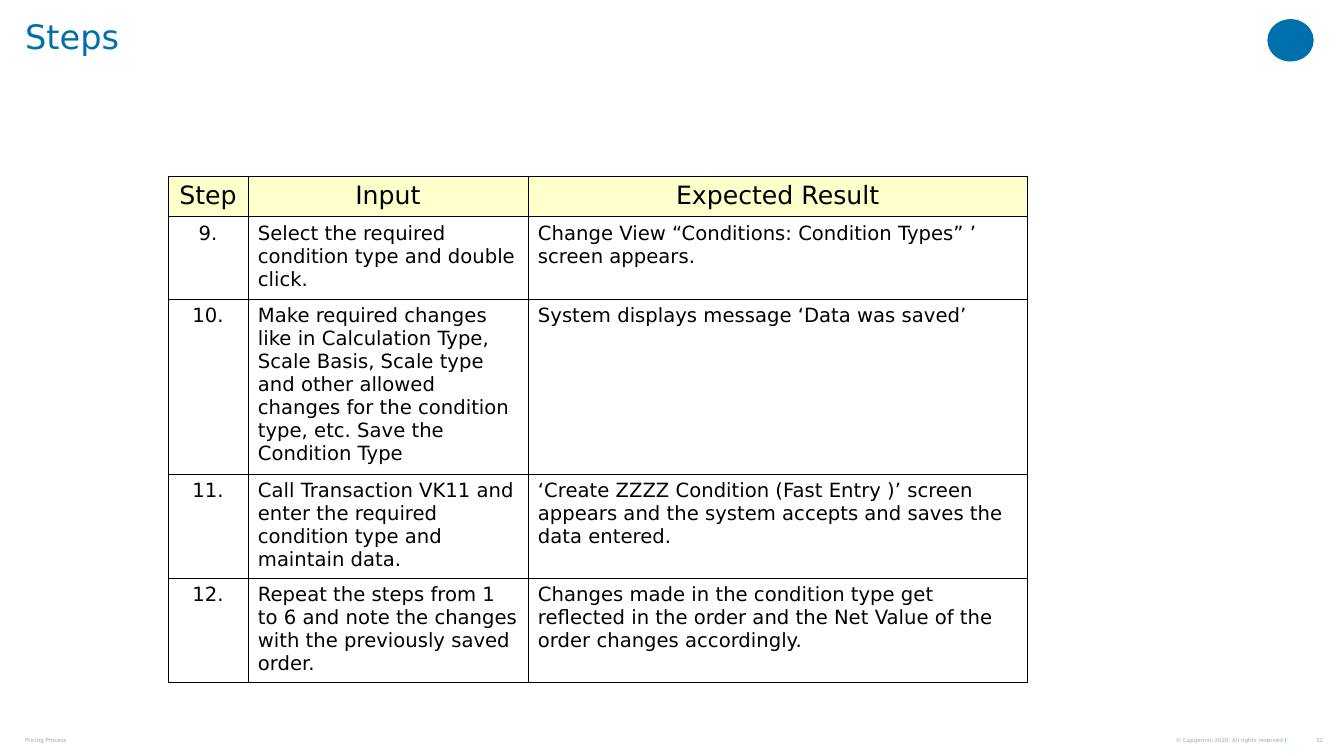
import dataclasses

import lxml.etree
import pptx
import pptx.dml.color
import pptx.enum.shapes
import pptx.enum.text
import pptx.oxml.ns
import pptx.util

Inches = pptx.util.Inches
Pt = pptx.util.Pt
ALIGN = pptx.enum.text.PP_ALIGN
ANCHOR = pptx.enum.text.MSO_ANCHOR


@dataclasses.dataclass(frozen=True)
class Theme:
    """Colours, fonts and type sizes of the slide."""
    blue: str = "0070AD"
    cyan: str = "12ABDB"
    grey: str = "A6A6A6"
    black: str = "000000"
    header: str = "FFFFCC"
    font: str = "DejaVu Sans"
    number_font: str = "Arial"
    title_size: float = 24
    header_size: float = 18
    body_size: float = 14
    footer_size: float = 4
    border: float = 0.45


THEME = Theme()
COLUMNS = [0.79, 2.78, 4.96]
ROWS = [0.4, 0.82, 1.73, 1.03, 1.03]
STEPS = [
    ("Step", "Input", "Expected Result"),
    ("9.", "Select the required condition type and double click.",
     "Change View “Conditions: Condition Types” ’ screen appears."),
    ("10.", "Make required changes like in Calculation Type, Scale Basis, Scale type and other "
     "allowed changes for the condition type, etc. Save the Condition Type",
     "System displays message ‘Data was saved’"),
    ("11.", "Call Transaction VK11 and enter the required condition type and maintain data.",
     "‘Create ZZZZ Condition (Fast Entry )’ screen appears and the system accepts and saves "
     "the data entered."),
    ("12.", "Repeat the steps from 1 to 6 and note the changes with the previously saved order.",
     "Changes made in the condition type get reflected in the order and the Net Value of the "
     "order changes accordingly."),
]


def rgb(color):
    """Return the colour object of a hex string."""
    return pptx.dml.color.RGBColor.from_string(color)


def set_attributes(obj, formats):
    """Set each attribute of an object from a dict."""
    for name, value in formats.items():
        setattr(obj, name, value)


def add_run(p, text, size, color, font=THEME.font):
    """Add one formatted run to a paragraph."""
    r = p.add_run()
    r.text = text
    set_attributes(r.font, {"size": Pt(size), "name": font})
    r.font.color.rgb = rgb(color)


def add_text(s, box, runs, size, frame=None, paragraph=None, font=THEME.font):
    """Add a text box holding one paragraph of coloured runs."""
    tf = s.shapes.add_textbox(*map(Inches, box)).text_frame
    set_attributes(tf, {"margin_left": 0, "margin_top": 0, "margin_right": 0, "margin_bottom": 0,
                        "word_wrap": True, "vertical_anchor": ANCHOR.MIDDLE, **(frame or {})})
    p = tf.paragraphs[0]
    set_attributes(p, paragraph or {})
    for text, color in runs:
        add_run(p, text, size, color, font)


def add_emblem(s, box):
    """Add the plain oval in the top right corner."""
    sp = s.shapes.add_shape(pptx.enum.shapes.MSO_SHAPE.OVAL, *map(Inches, box))
    sp.shadow.inherit = False
    sp.fill.solid()
    sp.fill.fore_color.rgb = rgb(THEME.blue)
    sp.line.fill.background()


def add_borders(cell):
    """Draw a thin line on every side of a cell."""
    qn = pptx.oxml.ns.qn
    properties = cell._tc.get_or_add_tcPr()
    for i, side in enumerate(("lnL", "lnR", "lnT", "lnB")):
        line = lxml.etree.Element(qn(f"a:{side}"), w=str(Pt(THEME.border)))
        fill = lxml.etree.SubElement(line, qn("a:solidFill"))
        lxml.etree.SubElement(fill, qn("a:srgbClr"), val=THEME.black)
        properties.insert(i, line)


def fill_cell(cell, text, is_header, centred):
    """Write and format one table cell."""
    if is_header:
        cell.fill.solid()
        cell.fill.fore_color.rgb = rgb(THEME.header)
    else:
        cell.fill.background()
    add_borders(cell)
    p = cell.text_frame.paragraphs[0]
    p.alignment = ALIGN.CENTER if centred else ALIGN.LEFT
    add_run(p, text, THEME.header_size if is_header else THEME.body_size, THEME.black)


def add_steps_table(s, left, top):
    """Add the table of steps, inputs and expected results."""
    size = map(Inches, (left, top, sum(COLUMNS), sum(ROWS)))
    table = s.shapes.add_table(len(ROWS), len(COLUMNS), *size).table
    set_attributes(table, {"first_row": False, "horz_banding": False})
    for column, width in zip(table.columns, COLUMNS):
        column.width = Inches(width)
    for i, (row, height) in enumerate(zip(table.rows, ROWS)):
        row.height = Inches(height)
        for j, text in enumerate(STEPS[i]):
            fill_cell(table.cell(i, j), text, i == 0, i == 0 or j == 0)


def add_footer(s):
    """Add the page number, copyright line and deck name."""
    right = {"alignment": ALIGN.RIGHT}
    add_text(s, (12.88, 7.31, 0.25, 0.07), [("52", THEME.grey)], THEME.footer_size,
             paragraph=right, font=THEME.number_font)
    add_text(s, (9.86, 7.27, 2.91, 0.14),
             [("© Capgemini 2020. All rights reserved ", THEME.grey), ("|", THEME.cyan)],
             THEME.footer_size, paragraph=right)
    add_text(s, (0.25, 7.27, 5.16, 0.14), [("Pricing Process", THEME.grey)], THEME.footer_size)


def main():
    """Build and save the slide."""
    prs = pptx.Presentation()
    set_attributes(prs, {"slide_width": Inches(13.34), "slide_height": Inches(7.5)})
    s = prs.slides.add_slide(prs.slide_layouts[6])
    add_emblem(s, (12.58, 0.19, 0.46, 0.42))
    add_footer(s)
    add_text(s, (0.25, 0, 12.17, 0.79), [("Steps", THEME.blue)], THEME.title_size,
             {"margin_top": Inches(0.2), "vertical_anchor": ANCHOR.TOP}, {"line_spacing": 0.9})
    add_steps_table(s, 1.67, 1.75)
    prs.save("out.pptx")


if __name__ == "__main__":
    main()
